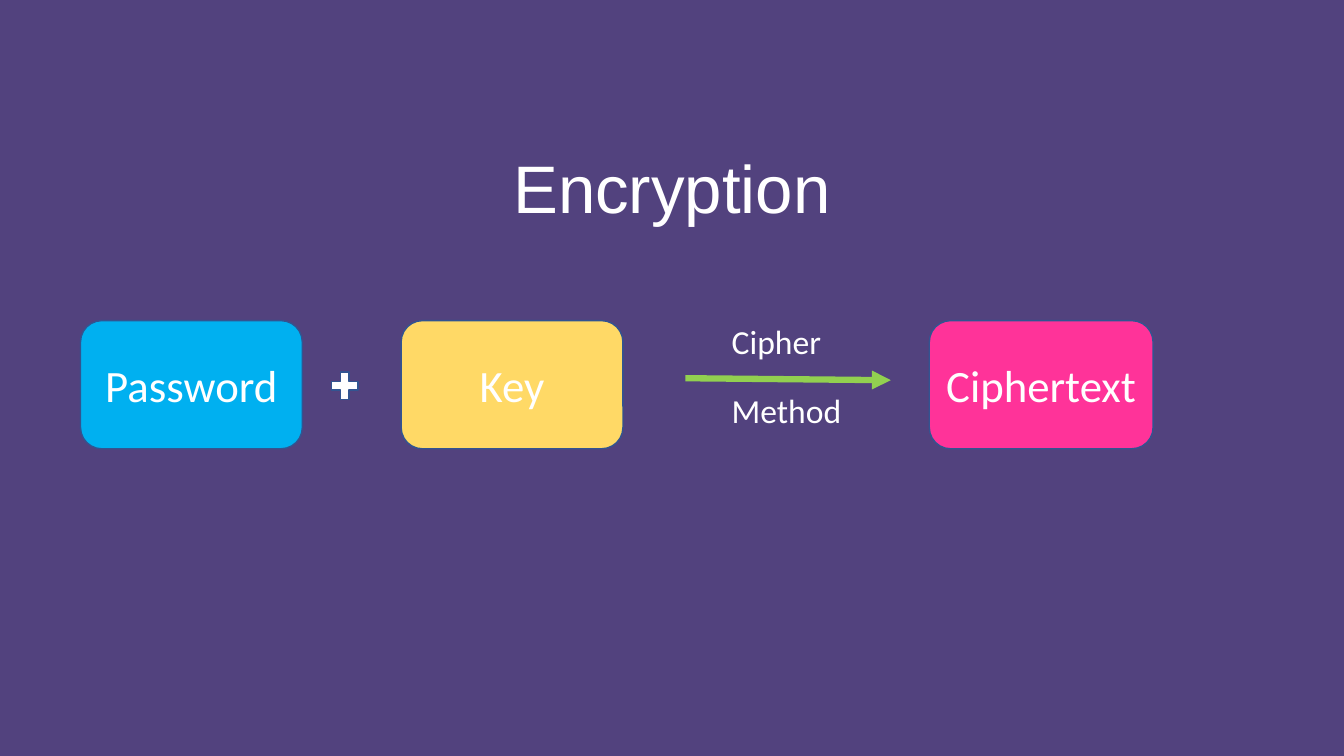
import pptx
import pptx.dml.color
import pptx.enum.shapes
import pptx.enum.text
import pptx.oxml
import pptx.oxml.ns
import pptx.util
from pptx.dml.color import RGBColor
from pptx.enum.shapes import MSO_CONNECTOR, MSO_SHAPE
from pptx.enum.text import MSO_ANCHOR, PP_ALIGN
from pptx.util import Cm

PURPLE = RGBColor(0x52, 0x42, 0x7E)
WHITE = RGBColor(0xFF, 0xFF, 0xFF)
BLUE = RGBColor(0x00, 0xB0, 0xF0)
YELLOW = RGBColor(0xFF, 0xD9, 0x66)
PINK = RGBColor(0xFF, 0x33, 0x99)
GREEN = RGBColor(0x92, 0xD0, 0x50)
OUTLINE = RGBColor(0x32, 0x54, 0x91)

BOX_TOP, BOX_HEIGHT = 8.08, 3.23


def set_text(sp, text, size=24, font="Calibri", align=PP_ALIGN.LEFT,
             anchor=MSO_ANCHOR.TOP):
    tf = sp.text_frame
    tf.word_wrap = True
    tf.vertical_anchor = anchor
    p = tf.paragraphs[0]
    p.alignment = align
    r = p.add_run()
    r.text = text
    r.font.size = pptx.util.Pt(size)
    r.font.name = font
    r.font.color.rgb = WHITE


def add_title(s, text):
    sp = s.shapes.title
    sp.left, sp.top, sp.width, sp.height = Cm(5.16), Cm(3.56), Cm(23.55), Cm(2.31)
    set_text(sp, text, size=48, font="Arial", align=PP_ALIGN.CENTER)


def add_filled(s, kind, left, top, width, height, fill):
    sp = s.shapes.add_shape(kind, Cm(left), Cm(top), Cm(width), Cm(height))
    sp.shadow.inherit = False
    sp.fill.solid()
    sp.fill.fore_color.rgb = fill
    sp.line.color.rgb = OUTLINE
    sp.line.width = pptx.util.Pt(1)
    return sp


def add_box(s, text, left, width, fill):
    sp = add_filled(s, MSO_SHAPE.ROUNDED_RECTANGLE, left, BOX_TOP, width,
                    BOX_HEIGHT, fill)
    set_text(sp, text, size=32, align=PP_ALIGN.CENTER, anchor=MSO_ANCHOR.MIDDLE)


def add_label(s, text, top, width):
    sp = s.shapes.add_textbox(Cm(18.19), Cm(top), Cm(width), Cm(1.27))
    set_text(sp, text)


def add_arrow(s, x1, y1, x2, y2):
    c = s.shapes.add_connector(MSO_CONNECTOR.STRAIGHT, Cm(x1), Cm(y1), Cm(x2), Cm(y2))
    c.line.color.rgb = GREEN
    c.line.width = pptx.util.Pt(4.5)
    ns = pptx.oxml.ns.nsdecls("a")
    c.line._get_or_add_ln().append(
        pptx.oxml.parse_xml(f'<a:tailEnd {ns} type="triangle"/>'))
    c._element.spPr.append(pptx.oxml.parse_xml(f"<a:effectLst {ns}/>"))


def main():
    prs = pptx.Presentation()
    prs.slide_width, prs.slide_height = Cm(33.87), Cm(19.05)
    s = prs.slides.add_slide(prs.slide_layouts.get_by_name("Title Only"))
    s.background.fill.solid()
    s.background.fill.fore_color.rgb = PURPLE

    add_title(s, "Encryption")
    add_box(s, "Password", 2.03, 5.59, BLUE)
    add_box(s, "Key", 10.11, 5.59, YELLOW)
    add_arrow(s, 17.27, 9.53, 22.45, 9.58)
    add_label(s, "Cipher", 7.95, 3.02)
    add_label(s, "Method", 9.7, 3.38)
    add_box(s, "Ciphertext", 23.42, 5.64, PINK)
    add_filled(s, MSO_SHAPE.MATH_PLUS, 8.23, 9.25, 0.91, 0.94, WHITE)
    prs.save("out.pptx")


if __name__ == "__main__":
    main()
